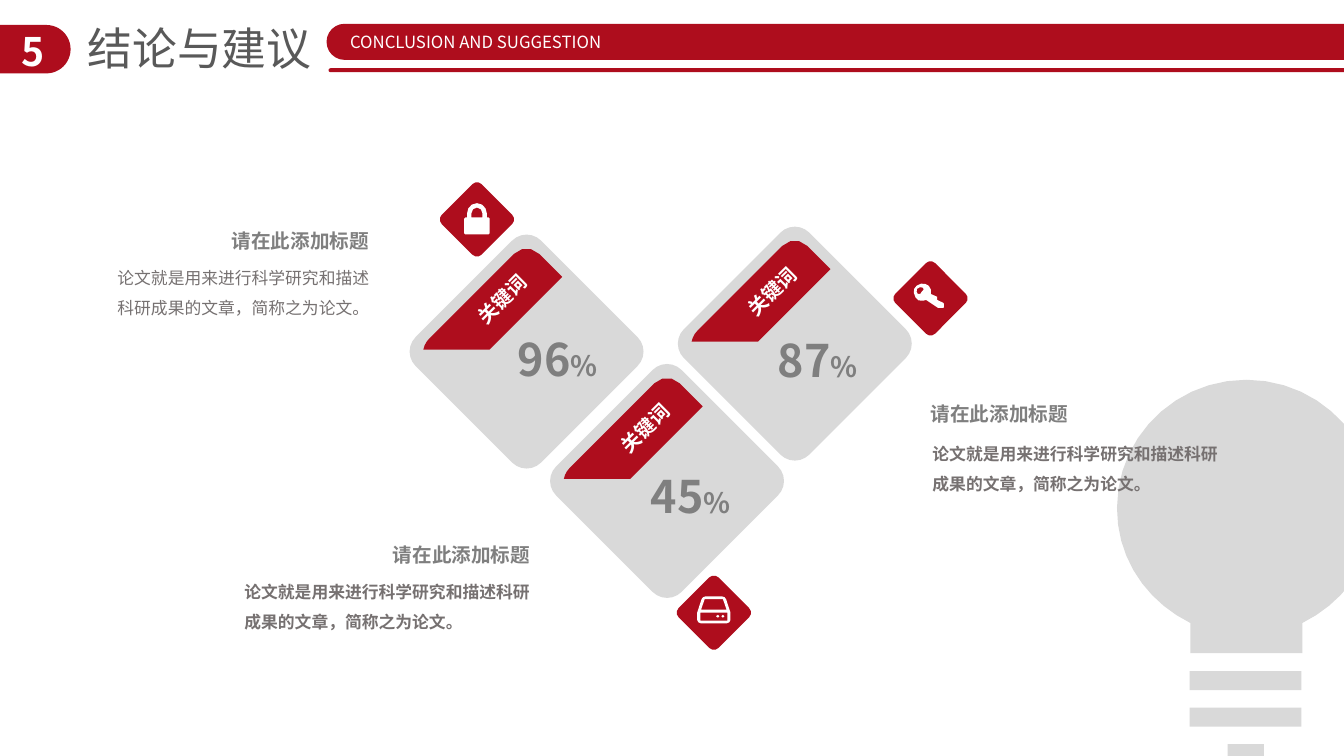
from math import dist

from lxml.etree import SubElement
from pptx import Presentation
from pptx.dml.color import RGBColor
from pptx.enum.shapes import MSO_SHAPE as Shape
from pptx.enum.text import MSO_ANCHOR as Anchor, MSO_AUTO_SIZE as Fit, PP_ALIGN as Align
from pptx.oxml.ns import qn
from pptx.util import Cm, Pt

FONT = "Noto Sans CJK SC"
COLORS = {"red": "AE0D1D", "pale": "D9D9D9", "white": "FFFFFF",
          "title": "595959", "head": "7F7F7F", "body": "767171"}

# Outlines in cm around a centre: M move, L line, C curve, Z close
BULB = ("M 3.26 0 C 3.26 -1.78 1.8 -3.23 0 -3.23 C -1.8 -3.23 -3.26 -1.78 -3.26 0 "
        "C -3.26 1.3 -2.5 2.36 -1.41 2.9 L -1.41 3.66 L 1.41 3.66 L 1.41 2.9 "
        "C 2.5 2.36 3.26 1.3 3.26 0 Z")
RIBBON = ("M 0.32 -2.46 C 0.14 -2.64 -0.14 -2.64 -0.32 -2.46 L -2.45 -0.33 "
          "C -2.53 -0.25 -2.58 -0.15 -2.6 -0.05 L -0.93 -0.05 L 0.9 -1.88 Z")
LOCK = ("M 0.32 0.35 L 0.29 0.38 L -0.29 0.38 L -0.32 0.35 L -0.32 -0.02 L -0.29 -0.05 "
        "L -0.25 -0.05 L -0.25 -0.15 C -0.25 -0.29 -0.14 -0.41 0 -0.41 "
        "C 0.14 -0.41 0.25 -0.29 0.25 -0.15 L 0.25 -0.05 L 0.29 -0.05 L 0.32 -0.02 Z "
        "M 0.14 -0.05 L 0.14 -0.15 C 0.14 -0.23 0.08 -0.3 0 -0.3 "
        "C -0.08 -0.3 -0.14 -0.23 -0.14 -0.15 L -0.14 -0.05 Z")
KEY = ("M -0.24 -0.37 C -0.37 -0.34 -0.44 -0.24 -0.42 -0.14 "
       "C -0.39 -0.01 -0.32 0.09 -0.19 0.06 L -0.11 0.04 "
       "L 0.19 0.24 L 0.32 0.24 L 0.34 0.22 L 0.34 0.14 L 0.32 0.11 L 0.17 0.04 "
       "L 0.17 -0.04 L 0.01 -0.11 L 0.01 -0.22 C -0.01 -0.34 -0.14 -0.39 -0.24 -0.37 Z "
       "M -0.19 -0.27 C -0.14 -0.24 -0.17 -0.22 -0.22 -0.17 "
       "C -0.24 -0.11 -0.27 -0.09 -0.32 -0.11 C -0.34 -0.14 -0.37 -0.19 -0.34 -0.24 "
       "C -0.29 -0.29 -0.24 -0.29 -0.19 -0.27 Z")
DRIVE = ("M 0.42 0.18 C 0.42 0.23 0.37 0.27 0.32 0.27 L -0.32 0.27 "
         "C -0.37 0.27 -0.42 0.23 -0.42 0.18 L -0.42 0 L -0.31 -0.34 "
         "C -0.29 -0.38 -0.26 -0.41 -0.21 -0.41 L 0.21 -0.41 "
         "C 0.26 -0.41 0.29 -0.38 0.31 -0.34 L 0.42 0 Z "
         "M 0.34 0 L -0.34 0 L -0.34 0.2 L 0.34 0.2 Z "
         "M 0.32 -0.08 L 0.23 -0.34 L -0.23 -0.34 L -0.32 -0.08 Z "
         "M 0.06 0.09 C 0.06 0.04 0.14 0.04 0.14 0.09 C 0.14 0.14 0.06 0.14 0.06 0.09 Z "
         "M 0.19 0.09 C 0.19 0.04 0.27 0.04 0.27 0.09 C 0.27 0.14 0.19 0.14 0.19 0.09 Z")

BARS = [(29.98, 16.91, 2.82), (29.98, 17.83, 2.82), (30.94, 18.75, 0.91)]
BANDS = [(-0.71, 0.63, 2.49, 1.22), (8.23, 0.6, 28.02, 0.91), (8.28, 1.72, 28.02, 0.1)]
# value, tile centre, keyword corner, value corner
TILES = [("96", (13.27, 8.86), (11.65, 7.11), (12.8, 8.23)),
         ("45", (16.81, 12.12), (15.27, 10.36), (16.15, 11.68)),
         ("87", (20.03, 8.66), (18.46, 6.91), (19.35, 8.26))]
ICONS = [(LOCK, (12.02, 5.53)), (KEY, (23.45, 7.52)), (DRIVE, (17.99, 15.44))]
HEAD = "请在此添加标题"
BODY = "论文就是用来进行科学研究和描述科研成果的文章，简称之为论文。"
# heading corner, body box, bold body
NOTES = [((5.59, 5.64), (2.71, 6.37, 7.11, 1.8), False),
         ((9.65, 13.56), (5.91, 14.27, 7.95, 1.7), True),
         ((23.2, 10.01), (23.25, 10.8, 7.95, 1.7), True)]


def paint(shape, color):
    shape.shadow.inherit = False
    shape.fill.solid()
    shape.fill.fore_color.rgb = RGBColor.from_string(COLORS[color])
    shape.line.fill.background()


def block(kind, box, color, turn=0, round_by=None):
    shape = shapes.add_shape(kind, *map(Cm, box))
    paint(shape, color)
    shape.rotation = turn
    if round_by is not None:
        shape.adjustments[0] = round_by


def diamond(mid, side, color):
    x, y = mid
    block(Shape.ROUNDED_RECTANGLE, (x - side / 2, y - side / 2, side, side),
          color, 45, 0.115)


def curve(pts):
    """Points along a cubic curve, without its start; longer ones get more."""
    steps = 2 + round(2 * dist(pts[0], pts[-1]))
    for i in range(1, steps + 1):
        t = i / steps
        ws = ((1 - t) ** 3, 3 * t * (1 - t) ** 2, 3 * t * t * (1 - t), t ** 3)
        yield tuple(sum(w * p[k] for w, p in zip(ws, pts)) for k in (0, 1))


def outline(data, mid, color):
    """Draw a filled outline around its centre."""
    loops = []
    for part in data.split("Z"):
        words = part.split()
        pts, i = [], 0
        while i < len(words):
            size = 6 if words[i] == "C" else 2
            nums = [float(n) for n in words[i + 1:i + 1 + size]]
            ends = list(zip(nums[::2], nums[1::2]))
            pts += curve([pts[-1]] + ends) if size == 6 else ends
            i += size + 1
        if pts:
            loops.append([(Cm(mid[0] + x), Cm(mid[1] + y)) for x, y in pts])
    pen = shapes.build_freeform(*loops[0][0], scale=1.0)
    for n, loop in enumerate(loops):
        if n:
            pen.move_to(*loop[0])
        pen.add_line_segments(loop[1:], close=True)
    paint(pen.convert_to_shape(), color)


def style(para, size, color, bold=False, align=Align.LEFT):
    para.alignment = align
    font = para.font
    font.size, font.bold, font.name = Pt(size), bold, FONT
    font.color.rgb = RGBColor.from_string(COLORS[color])
    props = para._p.pPr.find(qn("a:defRPr"))
    SubElement(props, qn("a:ea")).set("typeface", FONT)


def label(text, box, size, color, bold=False, align=Align.LEFT, wrap=False):
    shape = shapes.add_textbox(*map(Cm, box))
    shape.text_frame.word_wrap = wrap
    para = shape.text_frame.paragraphs[0]
    para.text = text
    style(para, size, color, bold, align)
    return shape, para


deck = Presentation()
deck.slide_width, deck.slide_height = Cm(33.87), Cm(19.05)
slide = deck.slides.add_slide(deck.slide_layouts[5])
shapes = slide.shapes

for x, y, w in BARS:
    block(Shape.RECTANGLE, (x, y, w, 0.48), "pale")
outline(BULB, (31.41, 12.8), "pale")

for band in BANDS:
    block(Shape.ROUNDED_RECTANGLE, band, "red", round_by=0.5)
label("5", (0.18, 0.56, 1.3, 1.45), 28, "white", True, Align.CENTER, True)
label("CONCLUSION AND SUGGESTION", (8.32, 0.68, 7.34, 0.76), 12, "white",
      align=Align.CENTER)

title = shapes.title
title.left, title.top, title.width, title.height = map(Cm, (1.95, 0.39, 6.22, 1.63))
frame = title.text_frame
frame.text = "结论与建议"
frame.word_wrap, frame.auto_size = False, Fit.NONE
frame.vertical_anchor = Anchor.TOP
style(frame.paragraphs[0], 32, "title")

for value, mid, word, spot in TILES:
    diamond(mid, 4.47, "pale")
    outline(RIBBON, mid, "red")
    tag, _ = label("关键词", (*word, 2.01, 0.86), 14, "white", True)
    tag.rotation = 315.2
    _, para = label(value, (*spot, 2.59, 1.63), 32, "head", True)
    sign = para.add_run()
    sign.text, sign.font.size = "%", Pt(20)

for icon, mid in ICONS:
    diamond(mid, 1.42, "red")
    outline(icon, mid, "white")

for spot, box, bold in NOTES:
    label(HEAD, (*spot, 4.01, 0.86), 14, "head", True)
    _, para = label(BODY, box, 12, "body", bold, wrap=True)
    para.line_spacing = 1.5

deck.save("out.pptx")
